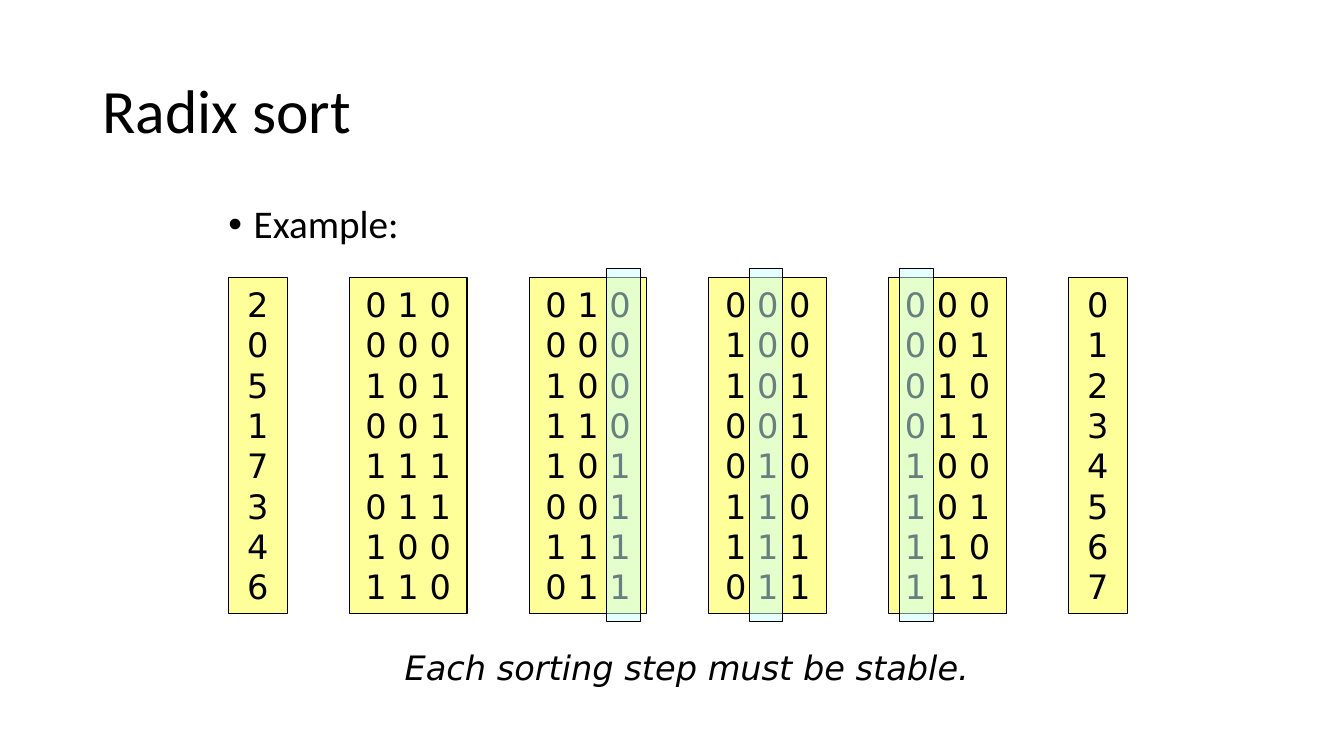
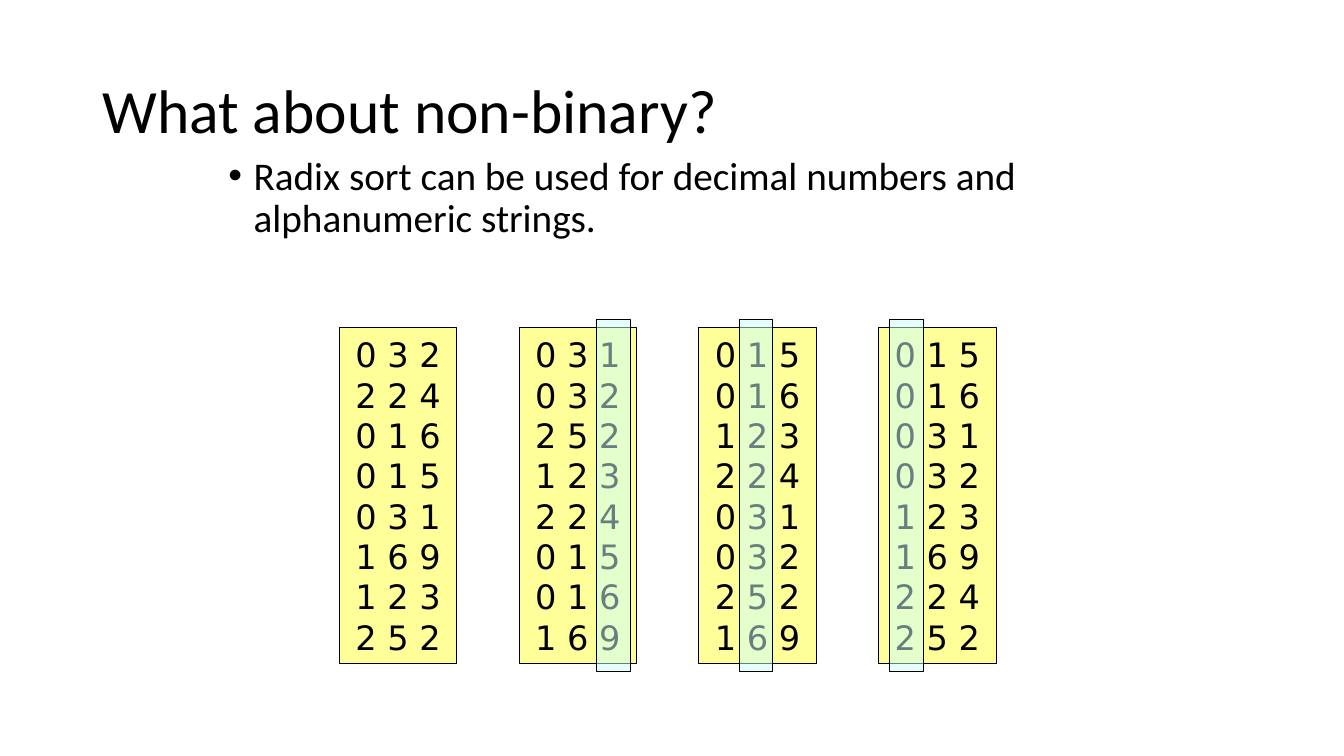
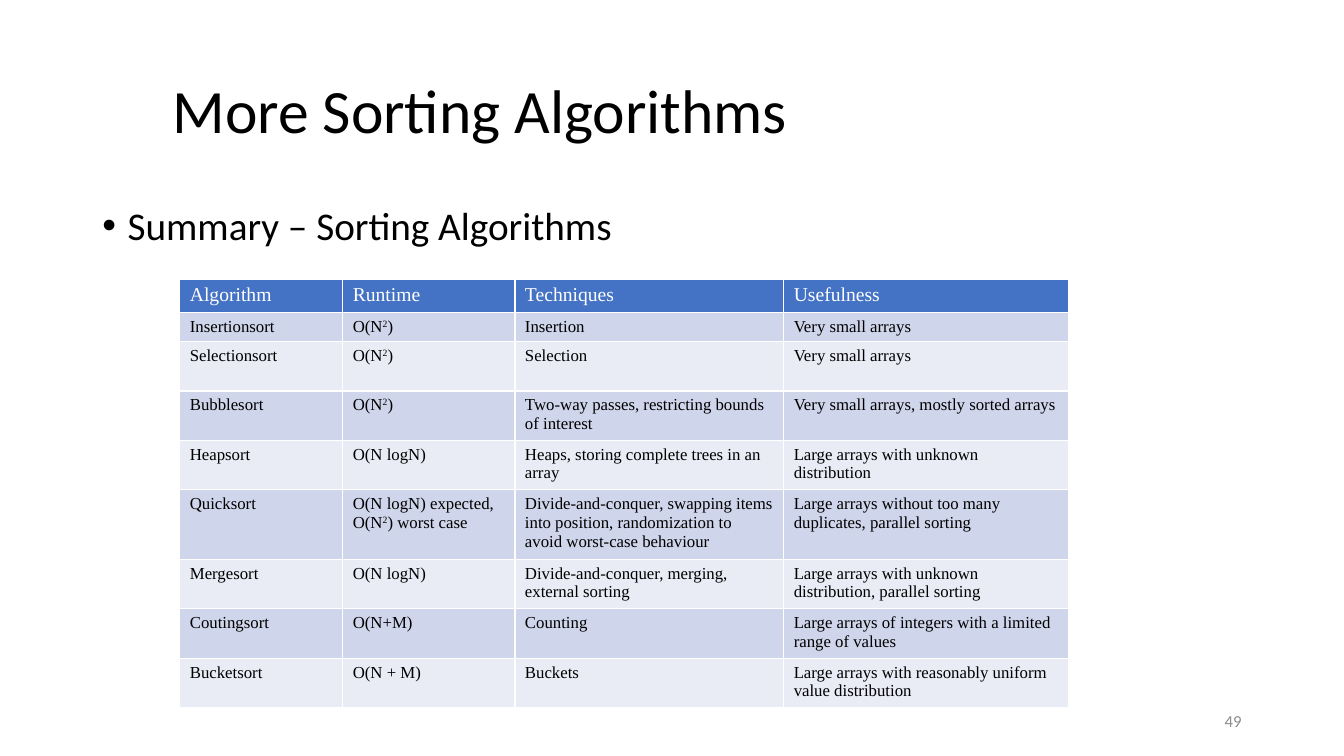
from lxml import etree
from pptx import Presentation
from pptx.dml.color import RGBColor
from pptx.enum.shapes import MSO_SHAPE as SHAPE
from pptx.enum.text import MSO_ANCHOR as ANCHOR, MSO_AUTO_SIZE as AUTO, PP_ALIGN as ALIGN
from pptx.oxml.ns import qn
from pptx.util import Pt

COLORS = {
    "text": "000000", "white": "FFFFFF", "number": "8C8C8C",
    "list": "FFFF99", "digit": "CCFFFF",
    "header": "4472C4", "odd": "CFD5EA", "even": "E9EBF5",
}
HEAD_FONT, LIST_FONT, TABLE_FONT = "Calibri", "DejaVu Sans", "Times New Roman"
TITLE_BOX = (66, 28.8, 828, 104.4)

# Lists of numbers: widths by digit count, and the bar over the sorted digit
LIST_WIDTH = {1: 42, 3: 84}
LIST_HEIGHT, LIST_GAP = 240, 44.4
BAR_LEFT = (8, 28.8, 55.4)
BAR_WIDTH, BAR_OVERHANG = 24, 6


def rgb(name):
    return RGBColor.from_string(COLORS[name])


def place(sp, box):
    sp.left, sp.top, sp.width, sp.height = (Pt(v) for v in box)


def style(p, font, size, color="text", align=ALIGN.LEFT):
    p.alignment = align
    p.font.name, p.font.size = font, Pt(size)
    p.font.color.rgb = rgb(color)


# Shared slide frame: title and one bullet
def add_frame(prs, title, bullet, body_box, title_shift=0):
    slide = prs.slides.add_slide(prs.slide_layouts[1])
    left, top, width, height = TITLE_BOX
    title_box = (left + title_shift, top, width - title_shift, height)
    parts = ((slide.shapes.title, title, title_box, 44, ANCHOR.MIDDLE),
             (slide.placeholders[1], bullet, body_box, 28, ANCHOR.TOP))
    for sp, text, box, size, anchor in parts:
        place(sp, box)
        tf = sp.text_frame
        tf.text, tf.auto_size, tf.vertical_anchor = text, AUTO.NONE, anchor
        p = tf.paragraphs[0]
        style(p, HEAD_FONT, size)
        p.line_spacing = 0.9
    p.space_before = Pt(10)
    pPr = p._p.get_or_add_pPr()
    pPr.set("marL", str(Pt(18)))
    pPr.set("indent", str(Pt(-18)))
    return slide


def add_box(slide, kind, box, fill):
    sp = slide.shapes.add_shape(kind, *(Pt(v) for v in box))
    sp.shadow.inherit = False
    sp.fill.solid()
    sp.fill.fore_color.rgb = rgb(fill)
    sp.line.color.rgb = rgb("text")
    sp.line.width = Pt(0.75)
    return sp


def add_text(slide, box, text, font, size, color="text", align=ALIGN.LEFT):
    sp = slide.shapes.add_textbox(*(Pt(v) for v in box))
    tf = sp.text_frame
    tf.text, tf.word_wrap = text, True
    style(tf.paragraphs[0], font, size, color, align)
    return sp


# One list of numbers, with a see-through bar over the sorted digit
def add_number_list(slide, left, top, numbers, sorted_digit=None):
    width = LIST_WIDTH[len(numbers[0])]
    sp = add_box(slide, SHAPE.FLOWCHART_PROCESS, (left, top, width, LIST_HEIGHT), "list")
    tf = sp.text_frame
    tf.text = "\n".join(" ".join(number) for number in numbers)
    tf.word_wrap, tf.vertical_anchor = False, ANCHOR.MIDDLE
    for p in tf.paragraphs:
        style(p, LIST_FONT, 24, align=ALIGN.CENTER)
    if sorted_digit is not None:
        bar = add_box(slide, SHAPE.RECTANGLE,
                      (left + BAR_LEFT[sorted_digit], top - BAR_OVERHANG,
                       BAR_WIDTH, LIST_HEIGHT + 2 * BAR_OVERHANG), "digit")
        color = bar.fill._xPr.find(qn("a:solidFill"))[0]
        etree.SubElement(color, qn("a:alpha")).set("val", "50000")
    return width


def add_sort_steps(slide, left, top, steps):
    for numbers, sorted_digit in steps:
        left += add_number_list(slide, left, top, numbers.split(), sorted_digit) + LIST_GAP


# Table cell; "²" becomes a raised 2
def fill_cell(cell, text, size, color, fill):
    cell.fill.solid()
    cell.fill.fore_color.rgb = rgb(fill)
    p = cell.text_frame.paragraphs[0]
    style(p, TABLE_FONT, size, color)
    p.font.bold = False
    before, square, after = text.partition("²")
    for part in filter(None, (before, square, after)):
        r = p.add_run()
        r.text = "2" if part == "²" else part
        if part == "²":
            r._r.get_or_add_rPr().set("baseline", "30000")


def add_summary_table(slide, left, top, widths, heights, rows):
    table = slide.shapes.add_table(len(rows), len(widths), Pt(left), Pt(top),
                                   Pt(sum(widths)), Pt(sum(heights))).table
    for col, width in zip(table.columns, widths):
        col.width = Pt(width)
    for i, (row, height, texts) in enumerate(zip(table.rows, heights, rows)):
        row.height = Pt(height)
        look = (12, "text", "odd" if i % 2 else "even") if i else (14, "white", "header")
        for cell, text in zip(row.cells, texts):
            fill_cell(cell, text, *look)


BINARY_STEPS = (
    ("2 0 5 1 7 3 4 6", None),
    ("010 000 101 001 111 011 100 110", None),
    ("010 000 100 110 101 001 111 011", 2),
    ("000 100 101 001 010 110 111 011", 1),
    ("000 001 010 011 100 101 110 111", 0),
    ("0 1 2 3 4 5 6 7", None),
)
DECIMAL_STEPS = (
    ("032 224 016 015 031 169 123 252", None),
    ("031 032 252 123 224 015 016 169", 2),
    ("015 016 123 224 031 032 252 169", 1),
    ("015 016 031 032 123 169 224 252", 0),
)
SUMMARY = (
    ("Algorithm", "Runtime", "Techniques", "Usefulness"),
    ("Insertionsort", "O(N²)", "Insertion", "Very small arrays"),
    ("Selectionsort", "O(N²)", "Selection", "Very small arrays"),
    ("Bubblesort", "O(N²)", "Two-way passes, restricting bounds of interest",
     "Very small arrays, mostly sorted arrays"),
    ("Heapsort", "O(N logN)", "Heaps, storing complete trees in an array",
     "Large arrays with unknown distribution"),
    ("Quicksort", "O(N logN) expected, O(N²) worst case",
     "Divide-and-conquer, swapping items into position, randomization to avoid "
     "worst-case behaviour",
     "Large arrays without too many duplicates, parallel sorting"),
    ("Mergesort", "O(N logN)", "Divide-and-conquer, merging, external sorting",
     "Large arrays with unknown distribution, parallel sorting"),
    ("Coutingsort", "O(N+M)", "Counting",
     "Large arrays of integers with a limited range of values"),
    ("Bucketsort", "O(N + M)", "Buckets",
     "Large arrays with reasonably uniform value distribution"),
)


def main():
    prs = Presentation()
    prs.slide_width, prs.slide_height = Pt(960), Pt(540)

    # Binary radix sort
    slide = add_frame(prs, "Radix sort", "Example:", (156, 142.8, 648, 48))
    add_sort_steps(slide, 163.2, 198, BINARY_STEPS)
    caption = add_text(slide, (282, 458.4, 420, 36), "Each sorting step must be stable.",
                       LIST_FONT, 24)
    caption.text_frame.word_wrap = False
    caption.text_frame.paragraphs[0].font.italic = True

    # Decimal radix sort
    slide = add_frame(prs, "What about non-binary?",
                      "Radix sort can be used for decimal numbers and alphanumeric strings.",
                      (156, 108, 666, 90))
    add_sort_steps(slide, 242.4, 234, DECIMAL_STEPS)

    # Summary of sorting algorithms
    slide = add_frame(prs, "More Sorting Algorithms", "Summary – Sorting Algorithms",
                      (66, 144, 828, 342.6), title_shift=50)
    add_summary_table(slide, 128.4, 199.4, (116.4, 123, 192, 203.6),
                      (23.6, 21, 35.3, 35.3, 35.3, 49.7, 35.3, 35.3, 35.3), SUMMARY)
    number = add_text(slide, (678, 500.4, 216, 28.8), "49", HEAD_FONT, 12, "number", ALIGN.RIGHT)
    number.text_frame.vertical_anchor = ANCHOR.MIDDLE

    prs.save("out.pptx")


if __name__ == "__main__":
    main()
